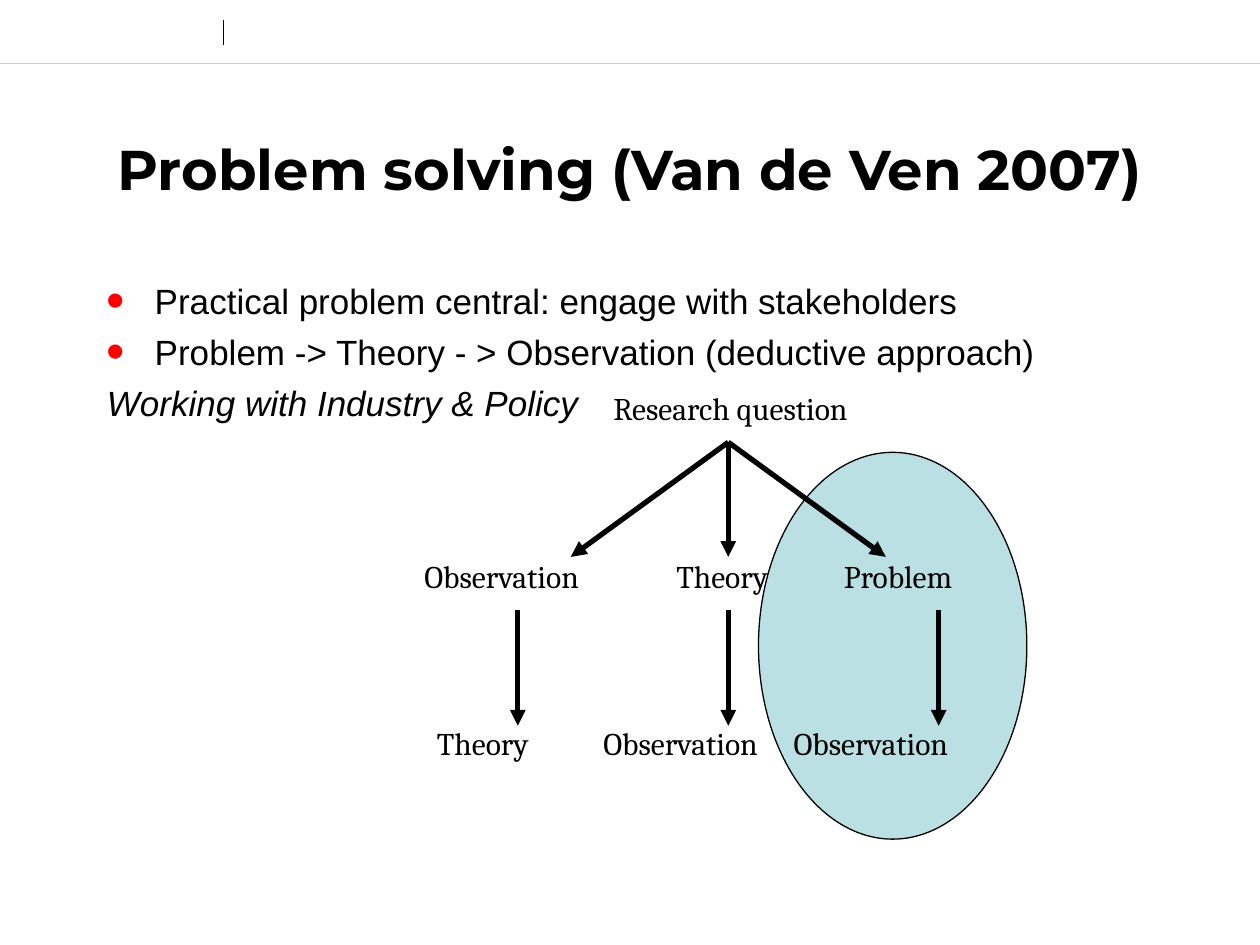
from lxml import etree
from pptx import Presentation
from pptx.dml.color import RGBColor
from pptx.enum import shapes, text
from pptx.oxml import ns
from pptx.util import Inches, Pt

COLORS = {"ink": "000000", "rule": "CCCCCC", "highlight": "BBE0E3", "bullet": "FF0000"}


def add_element(parent, tag, **attributes):
    element = etree.SubElement(parent, ns.qn(tag))
    for name, value in attributes.items():
        element.set(name, str(value))
    return element


class SlideBuilder:
    """Holds the style, the slide and the shape collection being filled."""

    def __init__(self, slide):
        self.slide = slide
        self.shapes = slide.shapes

    def start_group(self):
        self.shapes = self.slide.shapes.add_group_shape().shapes

    def color(self, name):
        return RGBColor.from_string(COLORS[name])

    def set_font(self, paragraph, name, size, bold=False, italic=False):
        font = paragraph.font
        font.name, font.size, font.bold, font.italic = name, Pt(size), bold, italic
        font.color.rgb = self.color("ink")

    def text_box(self, left, top, width, height):
        box = self.shapes.add_textbox(Inches(left), Inches(top), Inches(width), Inches(height))
        box.text_frame.word_wrap = True
        return box.text_frame

    def title(self, words):
        frame = self.text_box(0, 0.92, 10, 0.83)
        frame.vertical_anchor = text.MSO_ANCHOR.MIDDLE
        paragraph = frame.paragraphs[0]
        paragraph.text = words
        paragraph.alignment = text.PP_ALIGN.CENTER
        self.set_font(paragraph, "Montserrat", 32, bold=True)

    def body(self, points, closing):
        """Writes bulleted points and an italic closing line."""
        frame = self.text_box(0.75, 2.17, 8.5, 4.92)
        for index, words in enumerate([*points, closing]):
            paragraph = frame.paragraphs[0] if index == 0 else frame.add_paragraph()
            paragraph.text = words
            properties = paragraph._p.get_or_add_pPr()
            properties.set("marL", str(Inches(0.38)))
            properties.set("indent", str(-Inches(0.38)))
            is_closing = index == len(points)
            if is_closing:
                add_element(properties, "a:buNone")
            else:
                bullet_color = add_element(properties, "a:buClr")
                add_element(bullet_color, "a:srgbClr", val=COLORS["bullet"])
                add_element(properties, "a:buSzPct", val=150000)
                add_element(properties, "a:buFont", typeface="Arial")
                add_element(properties, "a:buChar", char="•")
            if index:
                paragraph.space_before = Pt(5)
            self.set_font(paragraph, "Arial", 20, italic=is_closing)

    def label_row(self, left, top, width, labels, stops=()):
        """Writes labels on one line, each after the first at a tab stop."""
        frame = self.text_box(left, top, width, 0.4)
        paragraph = frame.paragraphs[0]
        paragraph.text = "\t".join(labels)
        if stops:
            tabs = add_element(paragraph._p.get_or_add_pPr(), "a:tabLst")
            for stop in stops:
                add_element(tabs, "a:tab", pos=Inches(stop), algn="l")
        self.set_font(paragraph, "Cambria", 18)

    def line(self, start, end, color, width, arrow=False):
        connector = self.shapes.add_connector(
            shapes.MSO_CONNECTOR.STRAIGHT, *(Inches(value) for value in (*start, *end)))
        connector.line.color.rgb = self.color(color)
        connector.line.width = Pt(width)
        if arrow:
            add_element(connector.line._get_or_add_ln(), "a:tailEnd", type="triangle")
        add_element(connector._element.spPr, "a:effectLst")

    def ellipse(self, left, top, width, height):
        shape = self.shapes.add_shape(
            shapes.MSO_SHAPE.OVAL, Inches(left), Inches(top), Inches(width), Inches(height))
        shape.shadow.inherit = False
        shape.fill.solid()
        shape.fill.fore_color.rgb = self.color("highlight")
        shape.line.color.rgb = self.color("ink")
        shape.line.width = Pt(0.75)


def main():
    presentation = Presentation()
    presentation.slide_width, presentation.slide_height = Inches(10), Inches(7.5)
    builder = SlideBuilder(presentation.slides.add_slide(presentation.slide_layouts[6]))

    builder.line((0, 0.5), (10, 0.5), "rule", 0.25)
    builder.line((1.77, 0.16), (1.77, 0.36), "ink", 0.5)
    builder.ellipse(6.02, 3.59, 2.13, 3.07)
    builder.title("Problem solving (Van de Ven 2007)")
    builder.body(
        ["Practical problem central: engage with stakeholders",
         "Problem -> Theory - > Observation (deductive approach)"],
        "Working with Industry & Policy")

    builder.start_group()
    center = 5.78
    builder.label_row(4.77, 3.04, 2.51, ["Research question"])
    for offset in (0, -1.25, 1.25):
        builder.line((center, 3.51), (center + offset, 4.42), "ink", 3, arrow=True)
    builder.label_row(3.27, 4.37, 4.76, ["Observation", "Theory", "Problem"], (2, 3.33))
    for offset in (1.67, 0, -1.67):
        builder.line((center + offset, 4.84), (center + offset, 5.76), "ink", 3, arrow=True)
    builder.label_row(3.37, 5.7, 5.2, ["Theory", "Observation", "Observation"], (1.32, 2.83))

    presentation.save("out.pptx")


if __name__ == "__main__":
    main()
